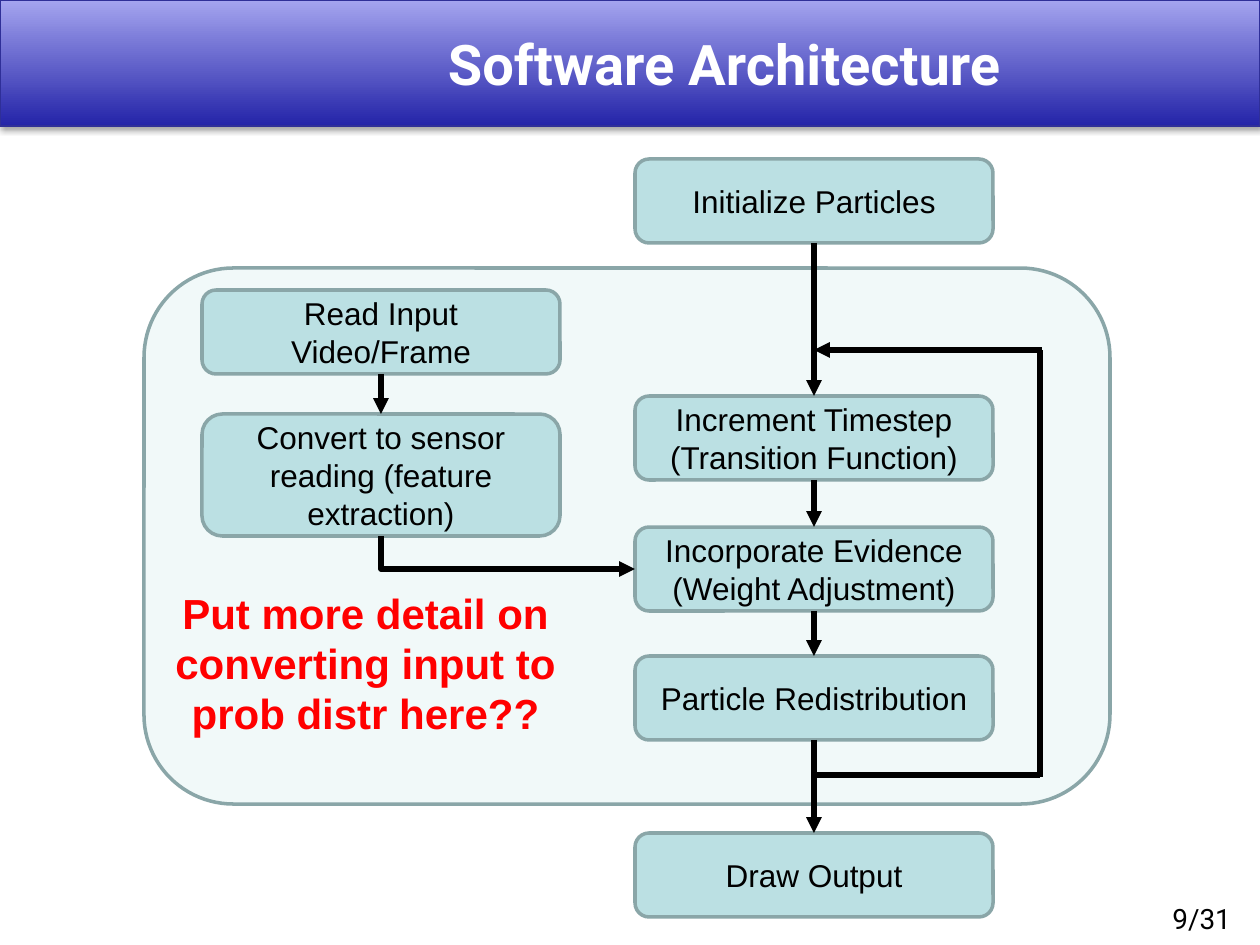
from dataclasses import dataclass

from lxml import etree
from pptx import Presentation
from pptx import util as u
from pptx.dml.color import RGBColor
from pptx.enum import shapes, text
from pptx.oxml import ns


@dataclass(frozen=True)
class Theme:
    """Colours, fonts and sizes of the slide."""
    white: str = "FFFFFF"
    ink: str = "000000"
    note: str = "FF0000"
    bar_dark: str = "2424A8"
    bar_light: str = "A4A4EF"
    bar_edge: str = "2F2F98"
    panel: str = "F1F9F9"
    box: str = "BBE0E3"
    edge: str = "8AA6A8"
    heading: str = "Roboto"
    body: str = "Arial"
    title_pt: int = 32
    note_pt: int = 24
    box_pt: int = 18
    page_pt: int = 16
    edge_pt: int = 2
    arrow_pt: int = 3


T = Theme()
SCALE = u.Inches(1) / 126
CENTER = text.PP_ALIGN.CENTER
MIDDLE = text.MSO_ANCHOR.MIDDLE


def px(n):
    """Turn pixels into EMU."""
    return u.Emu(round(n * SCALE))


def rgb(value):
    """Turn a hex string into a colour."""
    return RGBColor.from_string(value)


def sub(parent, tag, **attrs):
    """Append a DrawingML element to a parent."""
    return etree.SubElement(parent, ns.qn(tag), attrs)


def write(sp, lines, font, size, color, bold=False, align=CENTER, anchor=MIDDLE):
    """Write one paragraph per line into a shape."""
    tf = sp.text_frame
    tf.word_wrap = True
    tf.vertical_anchor = anchor
    for i, line in enumerate(lines):
        p = tf.paragraphs[0] if i == 0 else tf.add_paragraph()
        p.alignment = align
        r = p.add_run()
        r.text = line
        r.font.name, r.font.size, r.font.bold = font, u.Pt(size), bold
        r.font.color.rgb = rgb(color)


def label(s, box, lines, *style, **layout):
    """Add a text box with styled text."""
    sp = s.shapes.add_textbox(*map(px, box))
    write(sp, lines, *style, **layout)


def rounded(s, box, fill, lines=()):
    """Add a rounded process box."""
    sp = s.shapes.add_shape(shapes.MSO_SHAPE.FLOWCHART_ALTERNATE_PROCESS, *map(px, box))
    sp.shadow.inherit = False
    sp.fill.solid()
    sp.fill.fore_color.rgb = rgb(fill)
    sp.line.color.rgb = rgb(T.edge)
    sp.line.width = u.Pt(T.edge_pt)
    write(sp, lines, T.body, T.box_pt, T.ink)
    return sp


def connector(parent, start=(0, 0), end=(0, 0), kind=shapes.MSO_CONNECTOR.STRAIGHT, head=True):
    """Add a black connector, with an arrowhead at its end if asked."""
    cx = parent.shapes.add_connector(kind, *map(px, (*start, *end)))
    cx.line.color.rgb = rgb(T.ink)
    cx.line.width = u.Pt(T.arrow_pt)
    if head:
        sub(cx.line._get_or_add_ln(), "a:tailEnd", type="triangle")
    sub(cx._element.spPr, "a:effectLst")
    return cx


def link(s, a, b):
    """Join the bottom of one box to the top of the next."""
    cx = connector(s)
    cx.begin_connect(a, 2)
    cx.end_connect(b, 0)


def bent_link(s, a, b):
    """Join the bottom of one box to the left of another with one bend."""
    cx = connector(s, kind=shapes.MSO_CONNECTOR.ELBOW)
    cx.begin_connect(a, 2)
    cx.end_connect(b, 1)
    x, y = a.left + a.width // 2, a.top + a.height
    w, h = b.left - x, b.top + b.height // 2 - y
    cx.left, cx.top = x + (w - h) // 2, y + (h - w) // 2
    cx.width, cx.height = h, w
    sp_pr = cx._element.spPr
    sp_pr.find(ns.qn("a:prstGeom")).set("prst", "bentConnector2")
    xfrm = sp_pr.find(ns.qn("a:xfrm"))
    xfrm.set("rot", "16200000")
    xfrm.set("flipH", "1")


def header(s, x, y, w, h):
    """Draw the gradient title bar."""
    sp = s.shapes.add_shape(shapes.MSO_SHAPE.RECTANGLE, *map(px, (x, y, w, h)))
    sp.fill.gradient()
    sp.fill.gradient_angle = 90
    for stop, color, pos in zip(sp.fill.gradient_stops, (T.bar_dark, T.bar_light), (0, 1)):
        stop.color.rgb = rgb(color)
        stop.position = pos
    sp.line.color.rgb = rgb(T.bar_edge)
    sp.line.width = u.Pt(0.75)
    sp.shadow.inherit = False
    effects = sp._element.spPr.find(ns.qn("a:effectLst"))
    shadow = sub(effects, "a:outerShdw", blurRad="40000", dist="23000", dir="5400000", rotWithShape="0")
    sub(sub(shadow, "a:srgbClr", val=T.ink), "a:alpha", val="35000")
    label(s, (x + 189, y, w - 189, h), ["Software Architecture"],
          T.heading, T.title_pt, T.white, bold=True)


def feedback(s, x, y, w, h):
    """Draw the loop that returns from the bottom of a box to its top."""
    loop = s.shapes.add_group_shape()
    connector(loop, (x, y + h), (x + w, y + h), head=False)
    connector(loop, (x + w, y + h + 2), (x + w, y), head=False)
    connector(loop, (x + w + 2, y), (x, y))


def flow(s, x, y, w, h):
    """Draw the particle filter flow around its loop panel."""
    rounded(s, (x, y, w, h), T.panel)
    box_w, box_h = 358, 84
    steps = [
        (-109, ["Initialize Particles"]),
        (128, ["Increment Timestep (Transition Function)"]),
        (259, ["Incorporate Evidence", "(Weight Adjustment)"]),
        (388, ["Particle Redistribution"]),
        (565, ["Draw Output"]),
    ]
    main = [rounded(s, (x + 491, y + dy, box_w, box_h), T.box, lines) for dy, lines in steps]
    read = rounded(s, (x + 58, y + 22, box_w, box_h), T.box, ["Read Input Video/Frame"])
    convert = rounded(s, (x + 58, y + 146, box_w, 122), T.box,
                      ["Convert to sensor reading (feature extraction)"])
    for a, b in [*zip(main, main[1:]), (read, convert)]:
        link(s, a, b)
    bent_link(s, convert, main[2])
    feedback(s, x + 491 + box_w // 2, y + 82, 226, 425)
    label(s, (x - 14, y + 313, 471, 165),
          ["Put more detail on converting input to prob distr here??"],
          T.body, T.note_pt, T.note, bold=True, anchor=text.MSO_ANCHOR.TOP)


def page_number(s, x, y, w, h):
    """Write the page number."""
    label(s, (x, y, w, h), ["9/31"], T.heading, T.page_pt, T.ink,
          align=text.PP_ALIGN.LEFT, anchor=text.MSO_ANCHOR.TOP)


def main():
    """Build and save the slide."""
    prs = Presentation()
    prs.slide_width, prs.slide_height = px(1260), px(945)
    s = prs.slides.add_slide(prs.slide_layouts[6])
    header(s, 0, 0, 1260, 126)
    page_number(s, 1160, 895, 126, 47)
    flow(s, 144, 268, 966, 536)
    prs.save("out.pptx")


if __name__ == "__main__":
    main()
